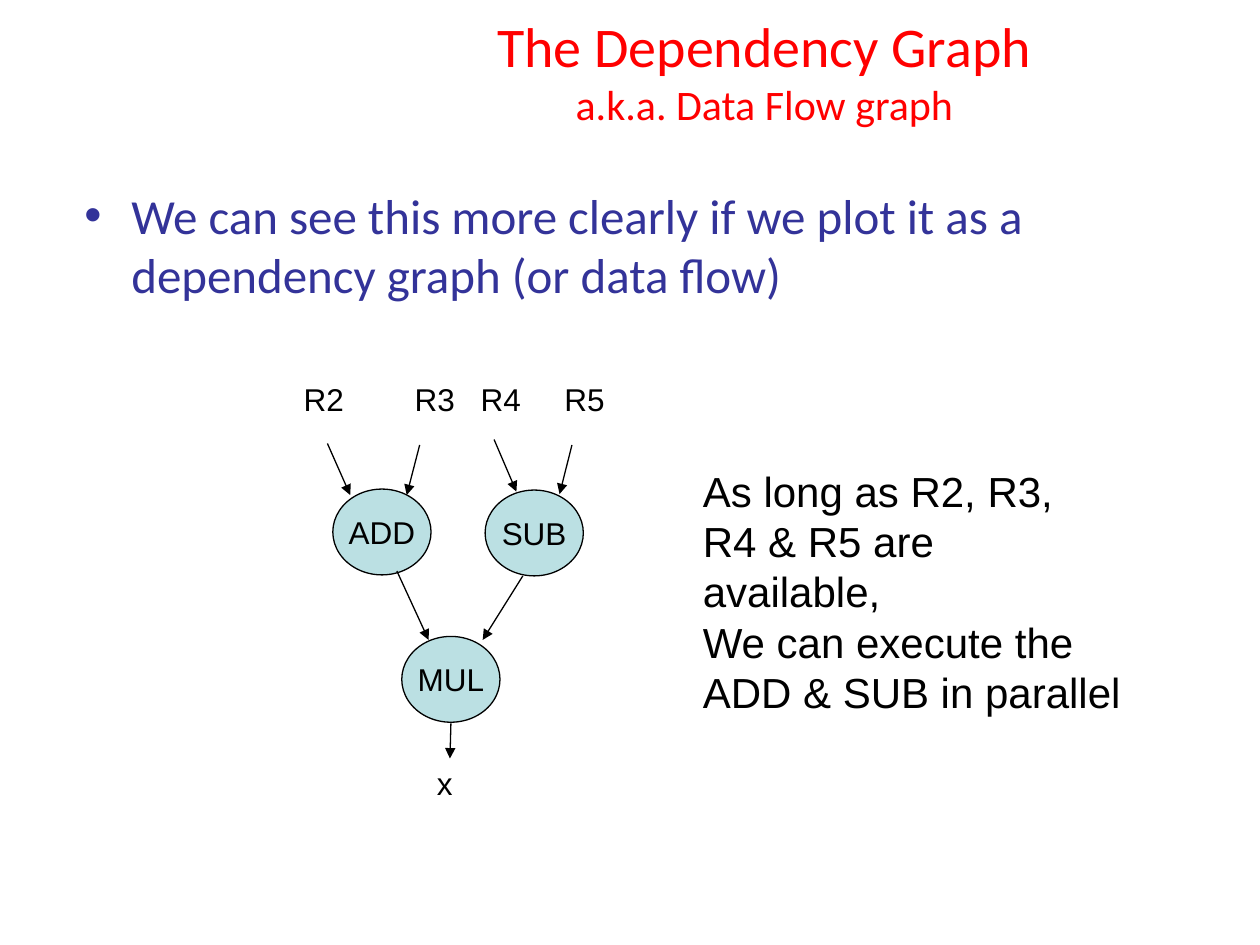
from lxml import etree
from pptx import Presentation
from pptx import util as u
from pptx.dml.color import RGBColor
from pptx.enum import shapes, text
from pptx.oxml.ns import qn

BLACK, RED, NAVY, PALE_TEAL = "000000", "FF0000", "333399", "BBE0E3"
NODE_WIDTH, NODE_HEIGHT = 1.98, 1.73
CENTER = text.PP_ALIGN.CENTER


def rgb(value):
    return RGBColor.from_string(value)


def set_font(paragraph, name, color, size=None):
    paragraph.font.name = name
    paragraph.font.color.rgb = rgb(color)
    if size:
        paragraph.font.size = u.Pt(size)


def add_box(slide, left, top, width, height, wrap=True):
    box = slide.shapes.add_textbox(*map(u.Cm, (left, top, width, height)))
    box.text_frame.word_wrap = wrap
    return box.text_frame


def add_label(slide, lines, left, top, width, height, size=18, align=None):
    frame = add_box(slide, left, top, width, height, wrap=False)
    frame.text = "\n".join(lines)
    for paragraph in frame.paragraphs:
        paragraph.alignment = align
        set_font(paragraph, "Arial", BLACK, size)


def add_title(slide, lines):
    frame = add_box(slide, 6.71, 0.33, 17.4, 2.18)
    frame.vertical_anchor = text.MSO_ANCHOR.MIDDLE
    paragraph = frame.paragraphs[0]
    paragraph.alignment = CENTER
    set_font(paragraph, "Calibri", RED)
    for index, (line, size) in enumerate(lines):
        if index:
            paragraph.add_line_break()
        run = paragraph.add_run()
        run.text = line
        run.font.size = u.Pt(size)


def add_bullet(slide, content):
    paragraph = add_box(slide, 1.45, 3.61, 22.86, 13.18).paragraphs[0]
    paragraph.text = content
    paragraph.space_before = u.Pt(7)
    properties = paragraph._p.get_or_add_pPr()
    properties.set("marL", str(u.Cm(0.95)))
    properties.set("indent", str(u.Cm(-0.95)))
    etree.SubElement(properties, qn("a:buFont"), typeface="Arial")
    etree.SubElement(properties, qn("a:buChar"), char="•")
    set_font(paragraph, "Calibri", NAVY, 28)


def add_operands(slide, names, stops):
    """One row of register names, set apart by tab stops."""
    paragraph = add_box(slide, 5.87, 7.54, 6.9, 1.02).paragraphs[0]
    paragraph.text = "\t".join(names)
    tabs = etree.SubElement(paragraph._p.get_or_add_pPr(), qn("a:tabLst"))
    for stop in stops:
        etree.SubElement(tabs, qn("a:tab"), pos=str(u.Cm(stop)), algn="l")
    set_font(paragraph, "Arial", BLACK, 18)


def add_node(slide, name, left, top):
    node = slide.shapes.add_shape(
        shapes.MSO_SHAPE.OVAL,
        *map(u.Cm, (left, top, NODE_WIDTH, NODE_HEIGHT)))
    node.shadow.inherit = False
    node.fill.solid()
    node.fill.fore_color.rgb = rgb(PALE_TEAL)
    node.line.color.rgb = rgb(BLACK)
    node.line.width = u.Pt(0.75)
    frame = node.text_frame
    frame.word_wrap = False
    frame.vertical_anchor = text.MSO_ANCHOR.MIDDLE
    paragraph = frame.paragraphs[0]
    paragraph.text = name
    paragraph.alignment = CENTER
    set_font(paragraph, "Arial", BLACK, 18)


def add_arrow(slide, *ends):
    arrow = slide.shapes.add_connector(
        shapes.MSO_CONNECTOR.STRAIGHT, *map(u.Cm, ends))
    arrow.line.color.rgb = rgb(BLACK)
    arrow.line.width = u.Pt(0.75)
    etree.SubElement(arrow.line._get_or_add_ln(), qn("a:tailEnd"),
                     type="triangle")
    etree.SubElement(arrow._element.spPr, qn("a:effectLst"))


def main():
    presentation = Presentation()
    presentation.slide_width, presentation.slide_height = u.Cm(25.4), u.Cm(19.05)
    slide = presentation.slides.add_slide(presentation.slide_layouts[6])

    # Heading and statement
    add_title(slide, [("The Dependency Graph", 32),
                      ("a.k.a. Data Flow graph", 24)])
    add_bullet(slide, "We can see this more clearly if we plot it as a "
                      "dependency graph (or data flow)")

    # Operations
    for name, left, top in [("ADD", 6.71, 9.86), ("SUB", 9.78, 9.88),
                            ("MUL", 8.1, 12.83)]:
        add_node(slide, name, left, top)

    # Data flow
    for ends in [
        (8, 11.51, 8.64, 12.9),         # ADD to MUL
        (10.54, 11.61, 9.73, 12.9),     # SUB to MUL
        (6.6, 8.94, 7.06, 9.98),        # R2 to ADD
        (8.46, 8.97, 8.2, 9.98),        # R3 to ADD
        (9.96, 8.86, 10.41, 9.91),      # R4 to SUB
        (11.53, 8.97, 11.28, 9.96),     # R5 to SUB
        (9.09, 14.58, 9.07, 15.29),     # MUL to x
    ]:
        add_arrow(slide, *ends)

    # Inputs, result and remark
    add_operands(slide, ["R2", "R3", "R4", "R5"], [2.24, 3.57, 5.26])
    add_label(slide, ["x"], 8.56, 15.27, 0.81, 1.02, align=CENTER)
    add_label(slide, ["As long as R2, R3,", "R4 & R5 are available,",
                      "We can execute the", "ADD & SUB in parallel"],
              13.92, 9.25, 8.97, 4.32, size=24)

    presentation.save("out.pptx")


if __name__ == "__main__":
    main()
